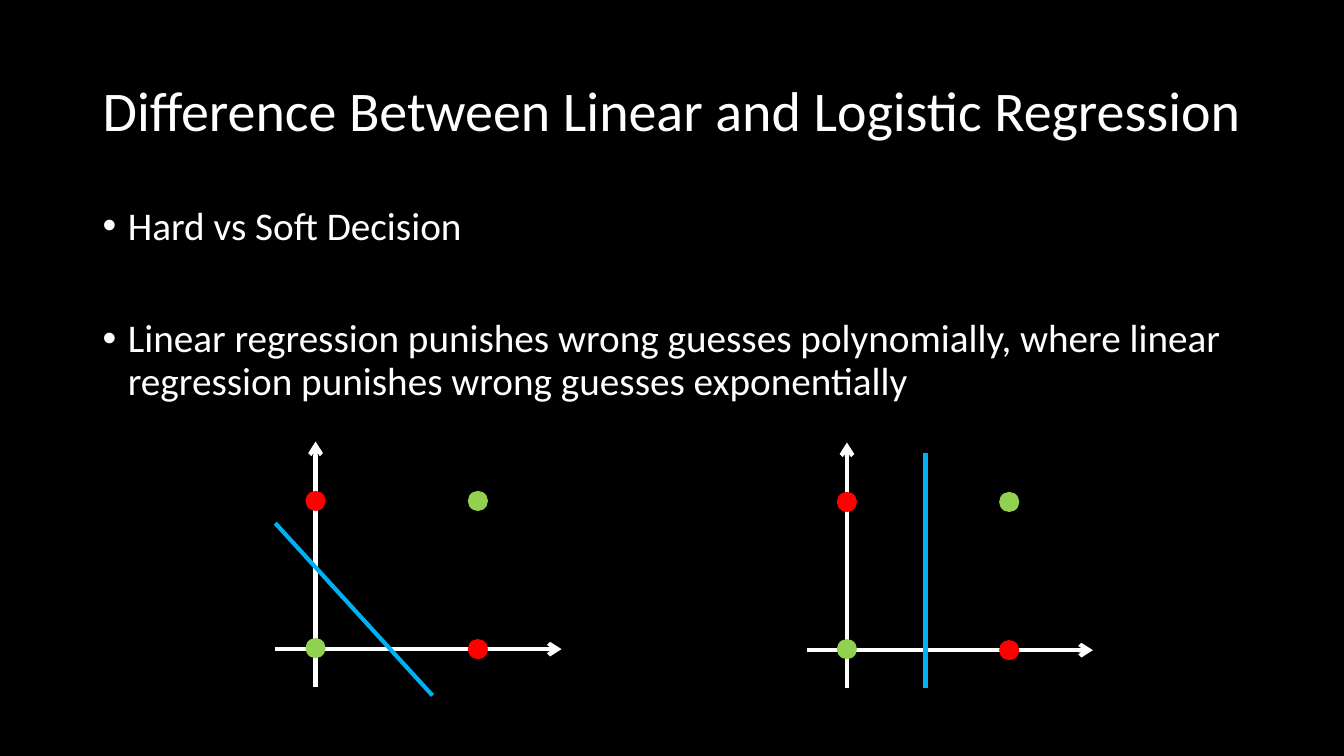
from dataclasses import dataclass

from lxml.etree import SubElement
from pptx import Presentation
from pptx.dml.color import RGBColor
from pptx.enum.shapes import MSO_CONNECTOR, MSO_SHAPE
from pptx.enum.text import MSO_ANCHOR
from pptx.oxml.ns import qn
from pptx.shapes.group import GroupShape
from pptx.slide import Slide
from pptx.text.text import TextFrame, _Paragraph as Paragraph
from pptx.util import Inches, Pt

COLORS = {
    "background": "000000",
    "white": "FFFFFF",
    "green": "92D050",
    "red": "FF0000",
    "blue": "00B0F0",
}
FONT = "Calibri"
DOT_SIZE = 0.2
LINE_WIDTH = 3


@dataclass(frozen=True)
class Line:
    start: tuple[float, float]
    end: tuple[float, float]
    color: str = "white"
    arrow: bool = False


@dataclass(frozen=True)
class Dot:
    center: tuple[float, float]
    color: str


@dataclass(frozen=True)
class Plot:
    """Axes crossing at origin; the boundary is relative to it."""
    origin: tuple[float, float]
    boundary: Line


@dataclass(frozen=True)
class Bullet:
    text: str
    space_before: float


AXES = (
    Line((-0.4, 0), (2.44, 0), arrow=True),
    Line((0, 0.38), (0, -2.06), arrow=True),
)
DOTS = (
    Dot((1.61, -1.47), "green"),
    Dot((0, -0.01), "green"),
    Dot((1.61, 0), "red"),
    Dot((0, -1.47), "red"),
)
PLOTS = (
    Plot((3.13, 6.44), Line((-0.4, -1.25), (1.16, 0.46), "blue")),
    Plot((8.4, 6.45), Line((0.78, -1.96), (0.78, 0.38), "blue")),
)
TITLE = "Difference Between Linear and Logistic Regression"
BULLETS = (
    Bullet("Hard vs Soft Decision", 10),
    Bullet(
        "Linear regression punishes wrong guesses polynomially, "
        "where linear regression punishes wrong guesses exponentially",
        50,
    ),
)


def rgb(name: str) -> RGBColor:
    return RGBColor.from_string(COLORS[name])


def add_text_frame(page: Slide, top: float, height: float) -> TextFrame:
    box = page.shapes.add_textbox(Inches(0.92), Inches(top), Inches(11.5), Inches(height))
    box.text_frame.word_wrap = True
    return box.text_frame


def write(para: Paragraph, text: str, size: float) -> None:
    para.text = text
    para.line_spacing = 0.9
    para.font.name = FONT
    para.font.size = Pt(size)
    para.font.color.rgb = rgb("white")


def add_title(page: Slide) -> None:
    frame = add_text_frame(page, 0.4, 1.45)
    frame.vertical_anchor = MSO_ANCHOR.MIDDLE
    write(frame.paragraphs[0], TITLE, 40)


def add_bullets(page: Slide) -> None:
    frame = add_text_frame(page, 2, 4.76)
    for index, bullet in enumerate(BULLETS):
        para = frame.add_paragraph() if index else frame.paragraphs[0]
        write(para, bullet.text, 28)
        para.space_before = Pt(bullet.space_before)
        properties = para._p.get_or_add_pPr()
        properties.set("marL", str(Inches(0.25)))
        properties.set("indent", str(Inches(-0.25)))
        bullet_font = properties.makeelement(qn("a:buFont"), {"typeface": "Arial"})
        bullet_char = properties.makeelement(qn("a:buChar"), {"char": "•"})
        properties.find(qn("a:defRPr")).addprevious(bullet_font)
        bullet_font.addnext(bullet_char)


def add_line(group: GroupShape, origin: tuple[float, float], line: Line) -> None:
    x, y = origin
    connector = group.shapes.add_connector(
        MSO_CONNECTOR.STRAIGHT,
        Inches(x + line.start[0]), Inches(y + line.start[1]),
        Inches(x + line.end[0]), Inches(y + line.end[1]),
    )
    connector.line.color.rgb = rgb(line.color)
    connector.line.width = Pt(LINE_WIDTH)
    if line.arrow:
        SubElement(connector.line._get_or_add_ln(), qn("a:tailEnd"), type="arrow")
    SubElement(connector._element.spPr, qn("a:effectLst"))


def add_dot(group: GroupShape, origin: tuple[float, float], dot: Dot) -> None:
    left = origin[0] + dot.center[0] - DOT_SIZE / 2
    top = origin[1] + dot.center[1] - DOT_SIZE / 2
    circle = group.shapes.add_shape(
        MSO_SHAPE.OVAL, Inches(left), Inches(top), Inches(DOT_SIZE), Inches(DOT_SIZE)
    )
    circle.shadow.inherit = False
    circle.fill.solid()
    circle.fill.fore_color.rgb = rgb(dot.color)
    circle.line.fill.background()


def add_plot(page: Slide, plot: Plot) -> None:
    group = page.shapes.add_group_shape()
    for axis in AXES:
        add_line(group, plot.origin, axis)
    for dot in DOTS:
        add_dot(group, plot.origin, dot)
    add_line(group, plot.origin, plot.boundary)


def main() -> None:
    deck = Presentation()
    deck.slide_width = Inches(13.33)
    deck.slide_height = Inches(7.5)
    page = deck.slides.add_slide(deck.slide_layouts[6])
    page.background.fill.solid()
    page.background.fill.fore_color.rgb = rgb("background")
    add_title(page)
    add_bullets(page)
    for plot in PLOTS:
        add_plot(page, plot)
    deck.save("out.pptx")


if __name__ == "__main__":
    main()
